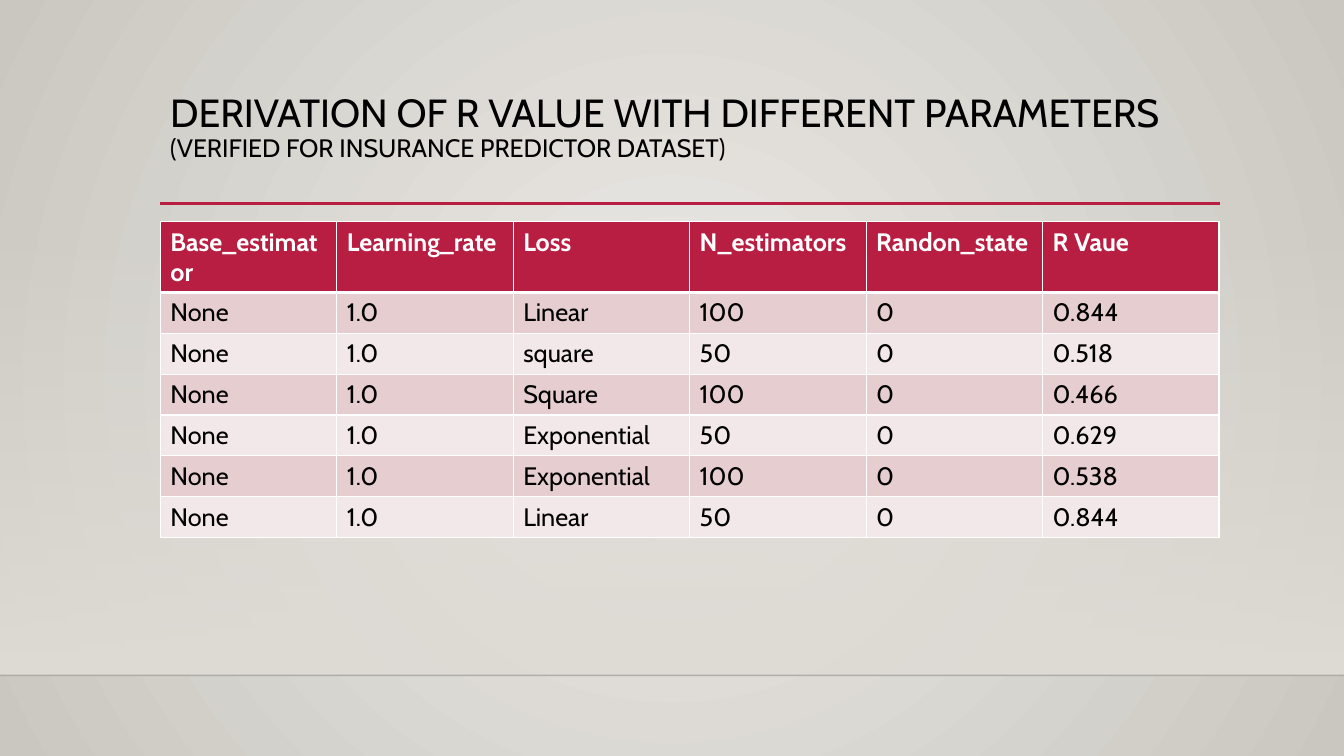
from lxml import etree
from pptx import Presentation, util as u
from pptx.dml.color import RGBColor
from pptx.enum import shapes, text
from pptx.oxml import ns, parse_xml

FONT = "Cabin"
CRIMSON = RGBColor(0xB7, 0x1E, 0x42)
ROSE = RGBColor(0xE6, 0xCD, 0xCF)
PALE_ROSE = RGBColor(0xF3, 0xE8, 0xE9)
BLACK = RGBColor(0, 0, 0)
NEAR_BLACK = RGBColor(0, 0, 1)
WHITE = RGBColor(0xFF, 0xFF, 0xFF)
WARM_LIGHT = RGBColor(0xEC, 0xEA, 0xE7)
WARM_DARK = RGBColor(0xCA, 0xC7, 0xC1)
FLOOR = RGBColor(0xDF, 0xDB, 0xD5)


def set_gradient(owner, start, end, start_alpha, direction):
    gradient = parse_xml(
        f'<a:gradFill {ns.nsdecls("a")} rotWithShape="1"><a:gsLst>'
        f'<a:gs pos="0"><a:srgbClr val="{start}"><a:alpha val="{start_alpha}"/></a:srgbClr></a:gs>'
        f'<a:gs pos="100000"><a:srgbClr val="{end}"/></a:gs>'
        f'</a:gsLst>{direction}</a:gradFill>'
    )
    empty_fill = owner.find(ns.qn("a:noFill"))
    owner.replace(empty_fill, gradient)


def add_rule(page, left, right, top, color, width):
    rule = page.shapes.add_connector(
        shapes.MSO_CONNECTOR.STRAIGHT,
        u.Inches(left), u.Inches(top), u.Inches(right), u.Inches(top),
    )
    rule.line.color.rgb = color
    rule.line.width = u.Pt(width)
    etree.SubElement(rule._element.spPr, ns.qn("a:effectLst"))
    return rule


deck = Presentation()
deck.slide_width = u.Inches(13.33)
deck.slide_height = u.Inches(7.5)
page = deck.slides.add_slide(deck.slide_layouts[6])

page.background.fill.background()
set_gradient(
    page._element.cSld.find(".//" + ns.qn("p:bgPr")), WARM_LIGHT, WARM_DARK, 100000,
    '<a:path path="circle"><a:fillToRect l="50000" t="50000" r="50000" b="50000"/></a:path>',
)

floor = page.shapes.add_shape(
    shapes.MSO_SHAPE.RECTANGLE, 0, u.Inches(2.21), deck.slide_width, u.Inches(4.49)
)
floor.shadow.inherit = False
floor.line.fill.background()
floor.fill.background()
set_gradient(floor._element.spPr, FLOOR, FLOOR, 0, '<a:lin ang="5400000" scaled="0"/>')

floor_edge = add_rule(page, 0, 13.33, 6.7, NEAR_BLACK, 1)
edge_color = floor_edge._element.spPr.find(".//" + ns.qn("a:srgbClr"))
etree.SubElement(edge_color, ns.qn("a:alpha"), val="20000")
add_rule(page, 1.59, 12.1, 2.02, CRIMSON, 2.5)

title = page.shapes.add_textbox(u.Inches(1.59), u.Inches(0.88), u.Inches(10.5), u.Inches(1.15))
title.text_frame.word_wrap = True
title.text_frame.vertical_anchor = text.MSO_ANCHOR.TOP
para = title.text_frame.paragraphs[0]
para.line_spacing = 0.9
for words, size in [
    ("DERIVATION OF R VALUE WITH DIFFERENT PARAMETERS ", 28),
    ("(VERIFIED FOR INSURANCE PREDICTOR DATASET)", 18),
]:
    span = para.add_run()
    span.text = words
    span.font.name = FONT
    span.font.size = u.Pt(size)
    span.font.color.rgb = BLACK

rows = [
    ("Base_estimator", "Learning_rate", "Loss", "N_estimators", "Randon_state", "R Vaue"),
    ("None", "1.0", "Linear", "100", "0", "0.844"),
    ("None", "1.0", "square", "50", "0", "0.518"),
    ("None", "1.0", "Square", "100", "0", "0.466"),
    ("None", "1.0", "Exponential", "50", "0", "0.629"),
    ("None", "1.0", "Exponential", "100", "0", "0.538"),
    ("None", "1.0", "Linear", "50", "0", "0.844"),
]
results = page.shapes.add_table(
    len(rows), len(rows[0]), u.Inches(1.59), u.Inches(2.2), u.Inches(10.5), u.Inches(2.84)
).table

for row_index, values in enumerate(rows):
    is_header = row_index == 0
    band = CRIMSON if is_header else ROSE if row_index % 2 else PALE_ROSE
    border_widths = {
        "lnL": 1,
        "lnR": 1,
        "lnT": 3 if row_index == 1 else 1,
        "lnB": 3 if is_header else 1,
    }
    for column_index, value in enumerate(values):
        cell = results.cell(row_index, column_index)
        cell.fill.solid()
        cell.fill.fore_color.rgb = band
        span = cell.text_frame.paragraphs[0].add_run()
        span.text = value
        span.font.name = FONT
        span.font.size = u.Pt(18)
        span.font.bold = is_header
        span.font.color.rgb = WHITE if is_header else BLACK
        properties = cell._tc.get_or_add_tcPr()
        for position, (side, width) in enumerate(border_widths.items()):
            border = parse_xml(
                f'<a:{side} {ns.nsdecls("a")} w="{u.Pt(width)}"><a:solidFill>'
                f'<a:srgbClr val="{WHITE}"/></a:solidFill></a:{side}>'
            )
            properties.insert(position, border)

deck.save("out.pptx")
